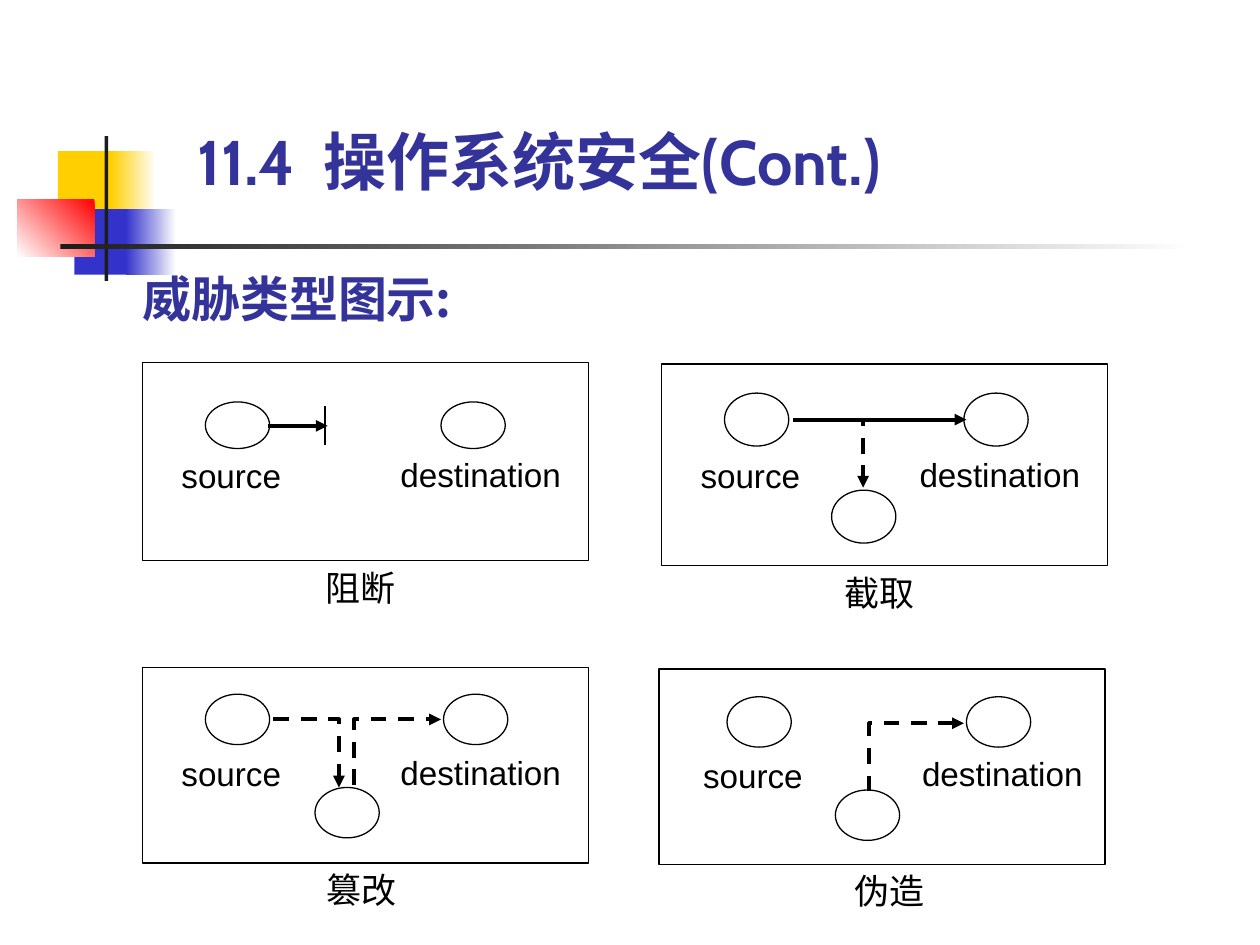
from dataclasses import dataclass

from lxml import etree
from pptx import Presentation
from pptx import util as u
from pptx.dml.color import RGBColor
from pptx.enum import dml, shapes, text
from pptx.oxml import ns


@dataclass(frozen=True)
class Theme:
    white: str = "FFFFFF"
    black: str = "000000"
    navy: str = "333399"
    yellow: str = "FFCF01"
    blue: str = "3333CC"
    red: str = "FF0000"
    ink: str = "1C1C1C"
    cjk: str = "Noto Sans CJK SC"
    title: float = 36
    heading: float = 28
    caption: float = 20
    label: float = 19
    thin: float = 0.75
    thick: float = 2.25


T = Theme()
RECT = shapes.MSO_SHAPE.RECTANGLE
OVAL = shapes.MSO_SHAPE.OVAL
TITLE = dict(name="Cabin", size=u.Pt(T.title), bold=True)
HEADING = dict(name=T.cjk, size=u.Pt(T.heading), bold=True)
CAPTION = dict(name="Times New Roman", size=u.Pt(T.caption))
LABEL = dict(name="Arial", size=u.Pt(T.label))
NODE_W = 0.51


def lengths(*values):
    return [u.Inches(v) for v in values]


def rgb(color):
    return RGBColor.from_string(color)


def add_text(s, box, words, font, color=T.black, anchor=text.MSO_ANCHOR.MIDDLE, centred=False):
    tf = s.shapes.add_textbox(*lengths(*box)).text_frame
    tf.word_wrap = not centred
    tf.vertical_anchor = anchor
    for side in ("left", "top", "right", "bottom"):
        setattr(tf, f"margin_{side}", 0)
    p = tf.paragraphs[0]
    p.alignment = text.PP_ALIGN.CENTER if centred else text.PP_ALIGN.LEFT
    r = p.add_run()
    r.text = words
    for key, value in font.items():
        setattr(r.font, key, value)
    r.font.color.rgb = rgb(color)
    etree.SubElement(r.font._element, ns.qn("a:ea")).set("typeface", T.cjk)


def add_block(s, box, colors, angle=0):
    sp = s.shapes.add_shape(RECT, *lengths(*box))
    sp.shadow.inherit = False
    sp.line.fill.background()
    if len(colors) == 1:
        sp.fill.solid()
        sp.fill.fore_color.rgb = rgb(colors[0])
        return
    sp.fill.gradient()
    sp.fill.gradient_angle = angle
    for stop, color in zip(sp.fill.gradient_stops, colors):
        stop.color.rgb = rgb(color)


def style_line(sp, width, dashed=False, arrow=False):
    sp.line.color.rgb = rgb(T.black)
    sp.line.width = u.Pt(width)
    if dashed:
        sp.line.dash_style = dml.MSO_LINE.DASH
    if arrow:
        ln = sp.line._get_or_add_ln()
        etree.SubElement(ln, ns.qn("a:tailEnd")).set("type", "triangle")


def add_outline(s, kind, box):
    sp = s.shapes.add_shape(kind, *lengths(*box))
    sp.shadow.inherit = False
    sp.fill.background()
    style_line(sp, T.thin)


def add_straight(s, start, end, width, arrow):
    c = s.shapes.add_connector(shapes.MSO_CONNECTOR.STRAIGHT, *lengths(*start, *end))
    style_line(c, width, arrow=arrow)
    etree.SubElement(c._element.spPr, ns.qn("a:effectLst"))


def add_bent(s, points):
    start, *rest = [tuple(lengths(*point)) for point in points]
    fb = s.shapes.build_freeform(*start)
    fb.add_line_segments(rest, close=False)
    sp = fb.convert_to_shape()
    sp.shadow.inherit = False
    sp.fill.background()
    style_line(sp, T.thick, dashed=True, arrow=True)


def add_ornament(s, box):
    x, y, w, h = box
    fade = T.white
    for dx, dy, bw, bh, colors, angle in (
        (0.32, 0.12, 0.48, 0.52, [T.yellow], 0),
        (0.74, 0.12, 0.36, 0.52, [T.yellow, fade], 0),
        (0.45, 0.58, 0.46, 0.52, [T.blue], 0),
        (0.86, 0.58, 0.4, 0.52, [T.blue, fade], 0),
        (0, 0.5, 0.61, 0.46, [T.red, fade], 225),
        (0.69, 0, 0.03, h, [T.ink], 0),
        (0.34, 0.86, w - 0.34, 0.04, [T.ink, fade], 0),
    ):
        add_block(s, (x + dx, y + dy, bw, bh), colors, angle)


def add_panel(s, box, caption, caption_at, node_h, nodes, label_at, straight=(), bent=()):
    x, y, w, h = box

    def at(point):
        return x + point[0], y + point[1]

    add_outline(s, RECT, box)
    for node in nodes:
        add_outline(s, OVAL, (*at(node), NODE_W, node_h))
    lx, ly = at(label_at)
    add_text(s, (lx, ly, 0.99, 0.42), "source", LABEL, centred=True)
    add_text(s, (lx + 1.74, ly - 0.01, 1.47, 0.42), "destination", LABEL, centred=True)
    for start, end, width, arrow in straight:
        add_straight(s, at(start), at(end), width, arrow)
    for points in bent:
        add_bent(s, [at(point) for point in points])
    add_text(s, (x + caption_at, y + h, 0.76, 0.42), caption, CAPTION, centred=True)


PANELS = (
    dict(box=(1.13, 2.88, 3.54, 1.57), caption="阻断", caption_at=1.35, node_h=0.37,
         nodes=[(0.5, 0.31), (2.37, 0.31)], label_at=(0.21, 0.68),
         straight=[((1.45, 0.34), (1.45, 0.65), T.thin, False),
                   ((1, 0.5), (1.47, 0.5), T.thick, True)]),
    dict(box=(5.25, 2.89, 3.54, 1.6), caption="截取", caption_at=1.35, node_h=0.42,
         nodes=[(0.5, 0.23), (2.4, 0.23), (1.35, 1)], label_at=(0.21, 0.67),
         straight=[((1.04, 0.44), (2.42, 0.44), T.thick, True)],
         bent=[[(1.31, 0.44), (1.6, 0.44), (1.6, 0.98)]]),
    dict(box=(1.13, 5.3, 3.54, 1.55), caption="篡改", caption_at=1.36, node_h=0.4,
         nodes=[(0.5, 0.21), (2.39, 0.21), (1.37, 0.95)], label_at=(0.21, 0.63),
         bent=[[(1.04, 0.41), (1.56, 0.41), (1.56, 0.95)],
               [(1.68, 0.93), (1.68, 0.41), (2.37, 0.41)]]),
    dict(box=(5.23, 5.31, 3.54, 1.55), caption="伪造", caption_at=1.45, node_h=0.4,
         nodes=[(0.54, 0.22), (2.44, 0.22), (1.4, 0.96)], label_at=(0.25, 0.63),
         bent=[[(1.67, 0.97), (1.67, 0.43), (2.42, 0.43)]]),
)


def main():
    prs = Presentation()
    prs.slide_width, prs.slide_height = lengths(10, 7.5)
    s = prs.slides.add_slide(prs.slide_layouts[6])
    add_ornament(s, (0.14, 1.08, 9.34, 1.15))
    add_text(s, (1.57, 0.97, 7.05, 0.6), "11.4  操作系统安全(Cont.)", TITLE, T.navy)
    add_text(s, (1.13, 2.13, 2.87, 0.47), "威胁类型图示:", HEADING, T.navy,
             text.MSO_ANCHOR.BOTTOM)
    for panel in PANELS:
        add_panel(s, **panel)
    prs.save("out.pptx")


if __name__ == "__main__":
    main()
